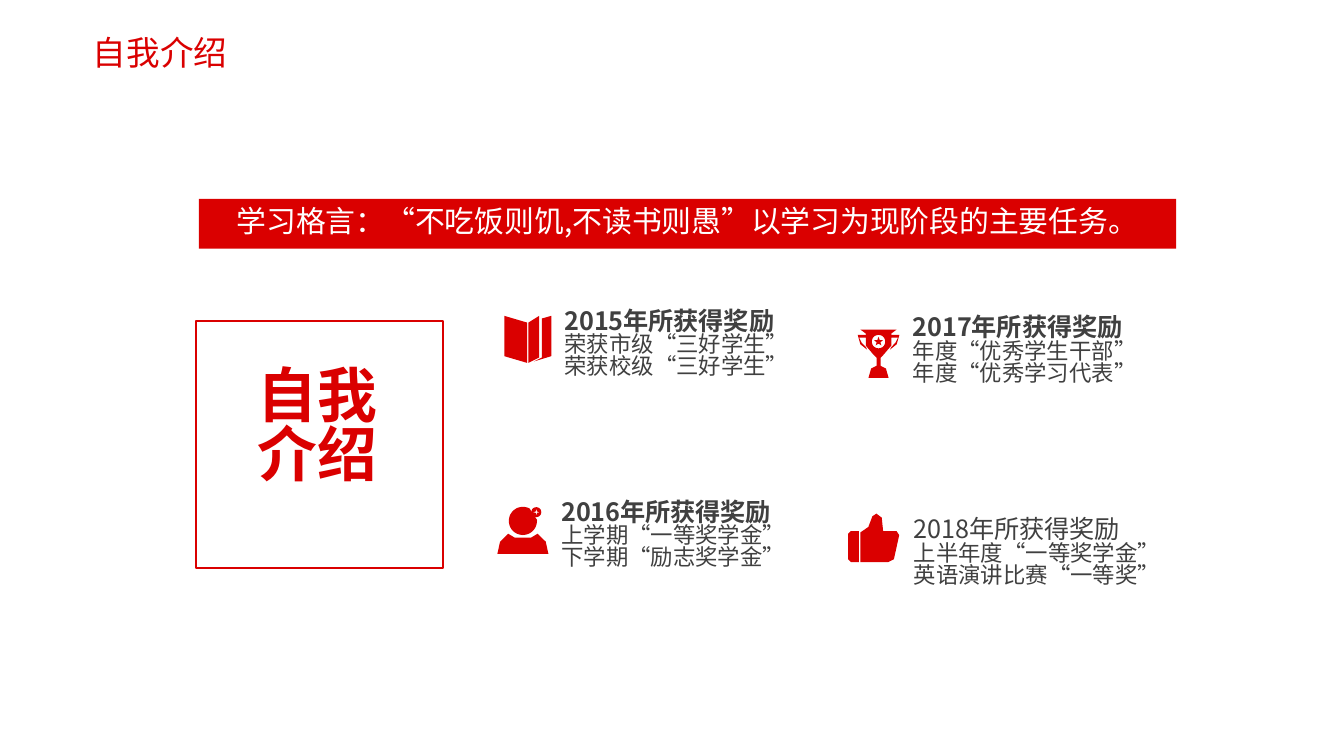
from math import cos, dist, pi, sin

from lxml import etree
from pptx import Presentation
from pptx.dml.color import RGBColor
from pptx.enum.shapes import MSO_SHAPE
from pptx.enum.text import MSO_ANCHOR, PP_ALIGN
from pptx.oxml.ns import qn
from pptx.util import Cm, Pt

RECTANGLE = MSO_SHAPE.RECTANGLE
LEFT, CENTER = PP_ALIGN.LEFT, PP_ALIGN.CENTER
TOP, MIDDLE = MSO_ANCHOR.TOP, MSO_ANCHOR.MIDDLE

FONT = "Noto Sans CJK SC"
COLORS = {"red": "DA0000", "grey": "404040", "white": "FFFFFF"}
TITLE_ONLY = 5
LINE_SPACING = 0.82
ICON_UNIT = Cm(0.0254)  # icon outlines are drawn on this grid
FINENESS = 10           # steps per grid unit


def color(name):
    return RGBColor.from_string(COLORS[name])


def paint(shape, name):
    shape.shadow.inherit = False
    shape.fill.solid()
    shape.fill.fore_color.rgb = color(name)
    shape.line.fill.background()


def write(frame, lines, ink, align=LEFT, anchor=TOP, wrap=True):
    """Fill a text frame; each line is (text, size, bold)."""
    frame.word_wrap = wrap
    frame.vertical_anchor = anchor
    for number, (text, size, bold) in enumerate(lines):
        paragraph = frame.add_paragraph() if number else frame.paragraphs[0]
        paragraph.alignment = align
        paragraph.line_spacing = LINE_SPACING
        paragraph.space_before = Pt(0)
        run = paragraph.add_run()
        run.text = text
        run.font.name = FONT
        run.font.size = Pt(size)
        run.font.bold = bold
        run.font.color.rgb = color(ink)
        etree.SubElement(run._r.get_or_add_rPr(), qn("a:ea")).set("typeface", FONT)


# --- Icon outlines ---
def ring(center, radii, count):
    """Closed outline whose radius cycles through radii, starting at the top."""
    turns = [2 * pi * i / count for i in range(count)]
    return [(center[0] + radii[i % len(radii)] * sin(turn),
             center[1] - radii[i % len(radii)] * cos(turn))
            for i, turn in enumerate(turns)]


def mirrored(points, axis):
    return [(2 * axis - x, y) for x, y in points]


def symmetric(half, axis):
    return half + mirrored(half, axis)[::-1]


def book():
    left_page = [(0, 0), (17, 5), (17, 35), (0, 30)]
    middle_page = [(18, 5), (26, 0), (26, 31), (18, 35)]
    back_page = [(28, 2), (35, 0), (35, 30), (22, 34), (28, 31)]
    return [[left_page, middle_page, back_page]]


def trophy():
    axis = 15.5
    star_center = (axis, 9)
    cup = symmetric([(2, 0), (6, 3), (6, 12), (12, 19), (14, 21),
                     (14, 27), (10, 29), (8, 36)], axis)
    handle = [(6, 4), (0, 4), (2, 11), (7, 15), (6, 13), (3, 10), (1, 6), (6, 6)]
    return [[cup, handle, mirrored(handle, axis),
             ring(star_center, [5], 32), ring(star_center, [3.5, 1.5], 10)]]


def person():
    axis = 19
    badge_center = (29, 4)
    body = symmetric([(0, 35), (2, 26), (8, 20), (13, 23)], axis)
    head = [point for point in ring((axis, 10.5), [10.5], 64)
            if dist(point, badge_center) > 5]
    plus = ring(badge_center, [2.6, 0.7, 2.6, 0.7], 8)
    return [[body], [head], [ring(badge_center, [3.7], 32), plus]]


def thumb():
    hand = [(9, 14), (15, 10), (18, 2), (21, 0), (25, 3), (26, 13),
            (36, 13), (38, 16), (34, 34), (30, 36), (9, 36)]
    cuff = [(0, 15), (2, 13), (8, 13), (8, 36), (2, 36), (0, 34)]
    return [[hand, cuff]]


def add_icon(shapes, icon, left, top):
    for outlines in icon():
        pen = None
        for outline in outlines:
            start, *rest = [(x * FINENESS, y * FINENESS) for x, y in outline]
            if pen is None:
                pen = shapes.build_freeform(*start, scale=ICON_UNIT / FINENESS)
            else:
                pen.move_to(*start)
            pen.add_line_segments(rest, close=True)
        paint(pen.convert_to_shape(Cm(left), Cm(top)), "red")


# --- Slide regions; a box is (left, top, width, height) in centimetres ---
def add_title(slide, box):
    title = slide.shapes.title
    title.left, title.top, title.width, title.height = map(Cm, box)
    write(title.text_frame, [("自我介绍", 18, False)], "red", CENTER)


def add_motto(slide, box):
    banner = slide.shapes.add_shape(RECTANGLE, *map(Cm, box))
    paint(banner, "red")
    motto = "学习格言：“不吃饭则饥,不读书则愚”以学习为现阶段的主要任务。"
    write(banner.text_frame, [(motto, 16, False)], "white", CENTER, MIDDLE)


def add_award(slide, box, icon, icon_width, icon_drop, heading, awards, bold=True):
    left, top, width, height = box
    shapes = slide.shapes.add_group_shape().shapes
    award = shapes.add_textbox(Cm(left + icon_width), Cm(top),
                               Cm(width - icon_width), Cm(height))
    lines = [(heading, 13.5, bold)] + [(text, 12, False) for text in awards]
    write(award.text_frame, lines, "grey", wrap=False)
    add_icon(shapes, icon, left, top + icon_drop)


def add_name_card(slide, box):
    left, top, width, height = box
    shapes = slide.shapes.add_group_shape().shapes
    frame = shapes.add_shape(RECTANGLE, *map(Cm, box))
    frame.shadow.inherit = False
    frame.fill.background()
    frame.line.color.rgb = color("red")
    frame.line.width = Pt(1)
    label = shapes.add_textbox(Cm(left + 0.48), Cm(top + 0.81),
                               Cm(width - 1.04), Cm(height - 1.67))
    write(label.text_frame, [(part, 32, True) for part in ("自我", "介绍")],
          "red", CENTER)


def main():
    deck = Presentation()
    deck.slide_width, deck.slide_height = Cm(25.4), Cm(14.29)
    slide = deck.slides.add_slide(deck.slide_layouts[TITLE_ONLY])

    add_title(slide, (0.97, 0.61, 4.11, 1.02))
    add_motto(slide, (3.76, 3.76, 18.47, 0.94))
    add_award(slide, (16.21, 5.87, 5.57, 1.85), trophy, 0.79, 0.36,
              "2017年所获得奖励", ["年度“优秀学生干部”", "年度“优秀学习代表”"])
    add_award(slide, (9.53, 5.74, 5.67, 1.85), book, 0.89, 0.23,
              "2015年所获得奖励", ["荣获市级“三好学生”", "荣获校级“三好学生”"])
    add_award(slide, (16.03, 9.68, 6.2, 1.85), thumb, 0.99, 0.03,
              "2018年所获得奖励", ["上半年度“一等奖学金”", "英语演讲比赛“一等奖”"], bold=False)
    add_award(slide, (9.4, 9.35, 5.74, 1.85), person, 0.96, 0.23,
              "2016年所获得奖励", ["上学期“一等奖学金”", "下学期“励志奖学金”"])
    add_name_card(slide, (3.71, 6.07, 4.67, 4.67))

    deck.save("out.pptx")


if __name__ == "__main__":
    main()
